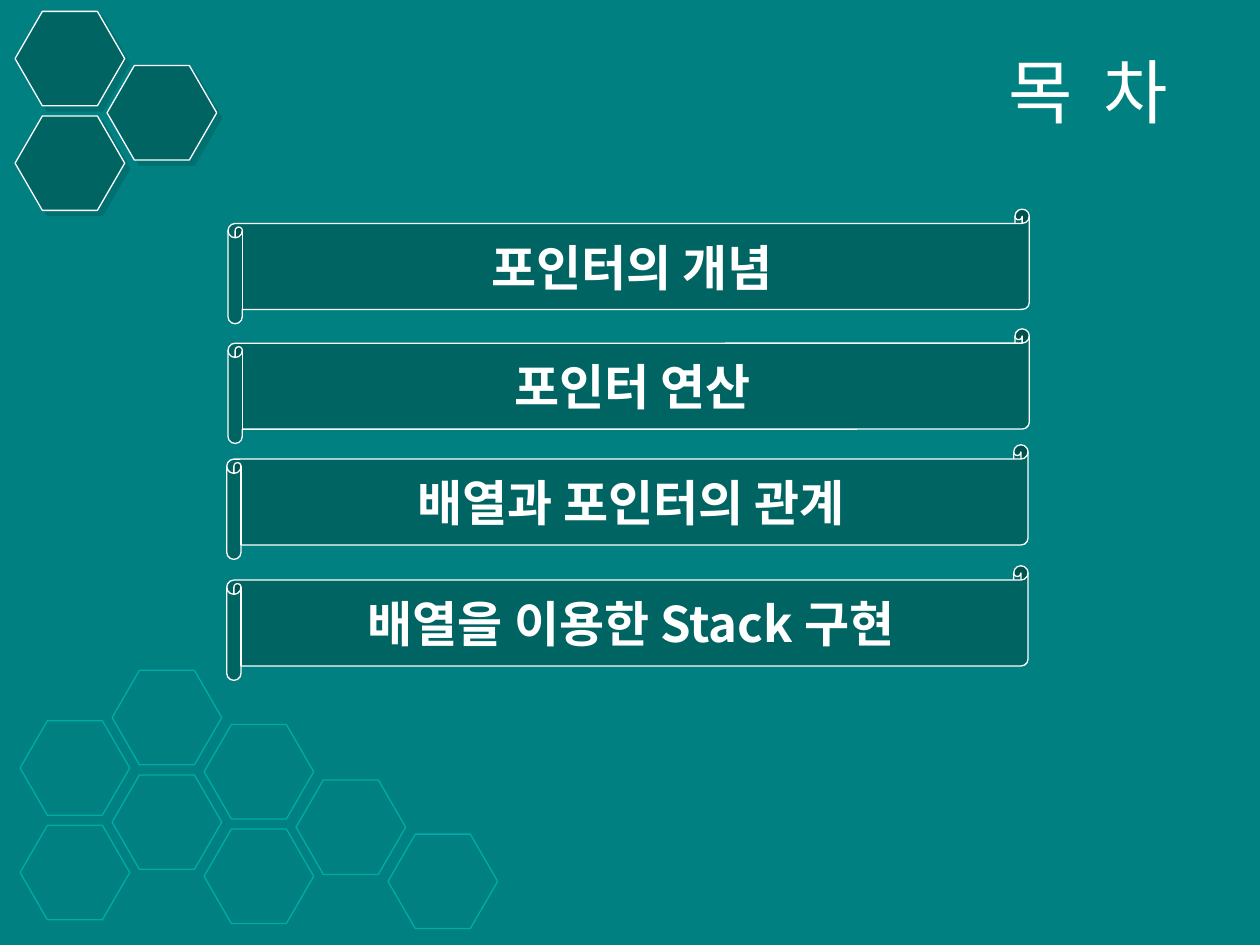
from lxml import etree
from pptx import Presentation
from pptx.dml.color import RGBColor
from pptx.enum.shapes import MSO_SHAPE
from pptx.enum.text import MSO_ANCHOR, PP_ALIGN
from pptx.oxml import parse_xml
from pptx.oxml.ns import qn
from pptx.util import Inches, Pt

HEXAGON, SCROLL = MSO_SHAPE.HEXAGON, MSO_SHAPE.HORIZONTAL_SCROLL
MIDDLE = MSO_ANCHOR.MIDDLE
CENTER, RIGHT = PP_ALIGN.CENTER, PP_ALIGN.RIGHT
TEAL, DARK, BRIGHT, WHITE = "008080", "006462", "00ACA8", "FFFFFF"
KOREAN_FONT = "Noto Sans CJK KR"
COLUMN_STEP, ROW_STEP = 0.73, 0.83
SHADOW = (
    '<a:effectLst xmlns:a="http://schemas.openxmlformats.org/drawingml/2006/main">'
    '<a:outerShdw dist="53340" dir="2700000" algn="ctr" rotWithShape="0">'
    f'<a:srgbClr val="{DARK}"><a:alpha val="50000"/></a:srgbClr>'
    '</a:outerShdw></a:effectLst>'
)

prs = Presentation()
prs.slide_width, prs.slide_height = Inches(10), Inches(7.5)
slide = prs.slides.add_slide(prs.slide_layouts[5])
slide.background.fill.solid()
slide.background.fill.fore_color.rgb = RGBColor.from_string(TEAL)


def add_outlined(preset, left, top, width, height, line, fill=None):
    shape = slide.shapes.add_shape(
        preset, Inches(left), Inches(top), Inches(width), Inches(height))
    shape.shadow.inherit = False
    if fill:
        shape.fill.solid()
        shape.fill.fore_color.rgb = RGBColor.from_string(fill)
    else:
        shape.fill.background()
    shape.line.color.rgb = RGBColor.from_string(line)
    shape.line.width = Pt(0.75)
    if preset == HEXAGON:
        shape.adjustments[0] = 0.289
    return shape


def write(frame, text, size, font, align, bold):
    frame.word_wrap = True
    frame.vertical_anchor = MIDDLE
    paragraph = frame.paragraphs[0]
    paragraph.alignment = align
    run = paragraph.add_run()
    run.text = text
    run.font.size, run.font.bold, run.font.name = Pt(size), bold, font
    run.font.color.rgb = RGBColor.from_string(WHITE)
    east_asian = etree.SubElement(run.font._element, qn("a:ea"))
    east_asian.set("typeface", KOREAN_FONT)


# Honeycomb outlines: top and number of cells in each column
for column, (top, cells) in enumerate(
        [(5.72, 2), (5.32, 2), (5.75, 2), (6.19, 1), (6.62, 1)]):
    for row in range(cells):
        add_outlined(HEXAGON, 0.16 + column * COLUMN_STEP, top + row * ROW_STEP,
                     0.87, 0.75, BRIGHT)

# Filled cells in the top corner
for column, top in [(0, 0.92), (0, 0.09), (1, 0.52)]:
    cell = add_outlined(HEXAGON, 0.12 + column * COLUMN_STEP, top,
                        0.87, 0.75, WHITE, DARK)
    properties = cell._element.spPr
    properties.replace(properties.find(qn("a:effectLst")), parse_xml(SHADOW))

# Title
title = slide.shapes.title
title.left, title.top = Inches(1.85), Inches(0.28)
title.width, title.height = Inches(7.52), Inches(0.87)
write(title.text_frame, "목  차", 40, "Arial", RIGHT, False)

# Contents
for left, top, topic in [
    (1.81, 1.66, "포인터의 개념"),
    (1.81, 2.61, "포인터 연산"),
    (1.8, 3.53, "배열과 포인터의 관계"),
    (1.8, 4.49, "배열을 이용한 Stack 구현"),
]:
    banner = add_outlined(SCROLL, left, top, 6.36, 0.91, WHITE, DARK)
    write(banner.text_frame, topic, 28, KOREAN_FONT, CENTER, True)

prs.save("out.pptx")
